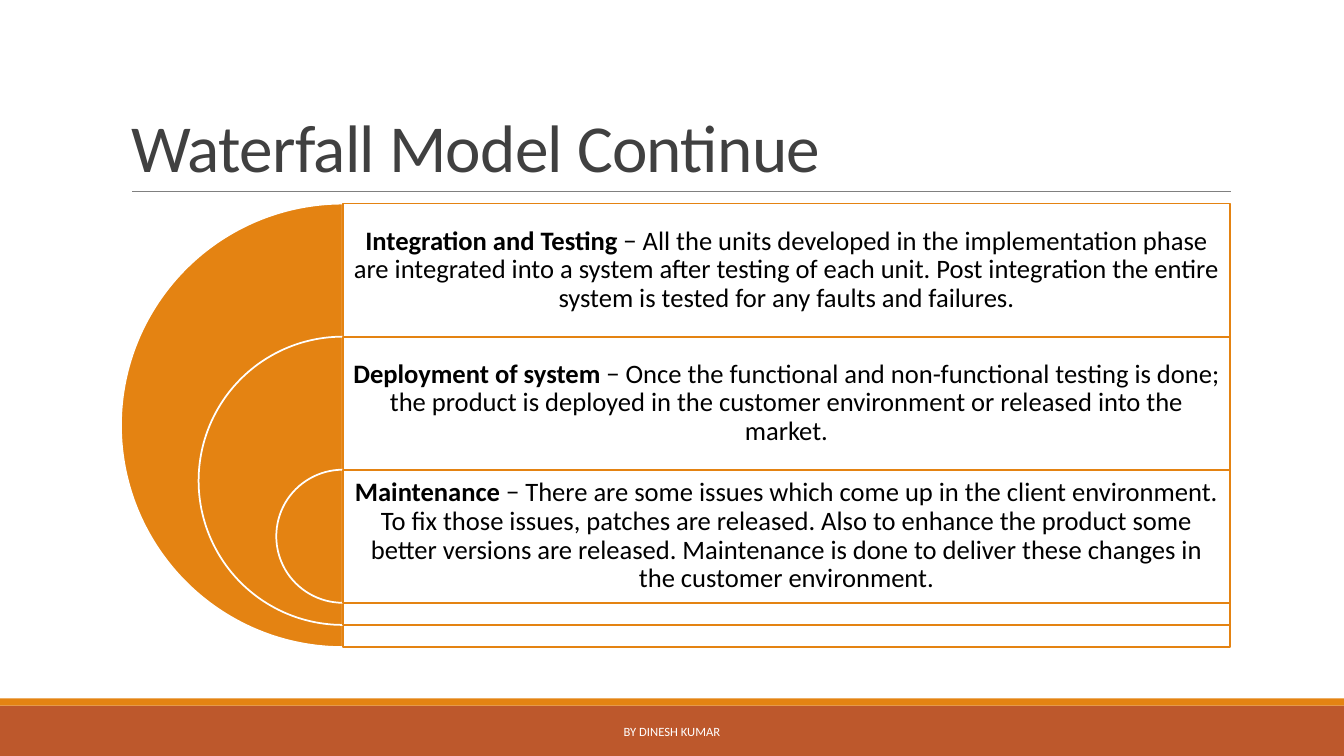
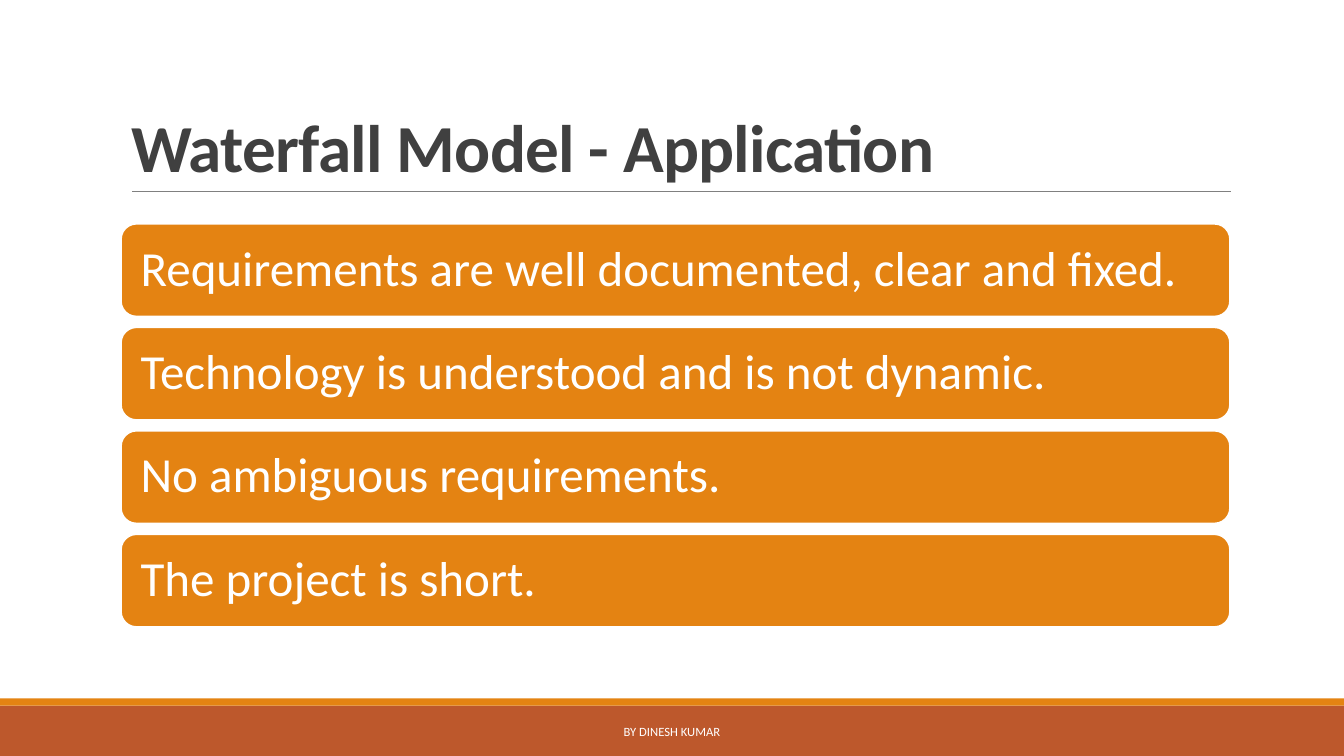
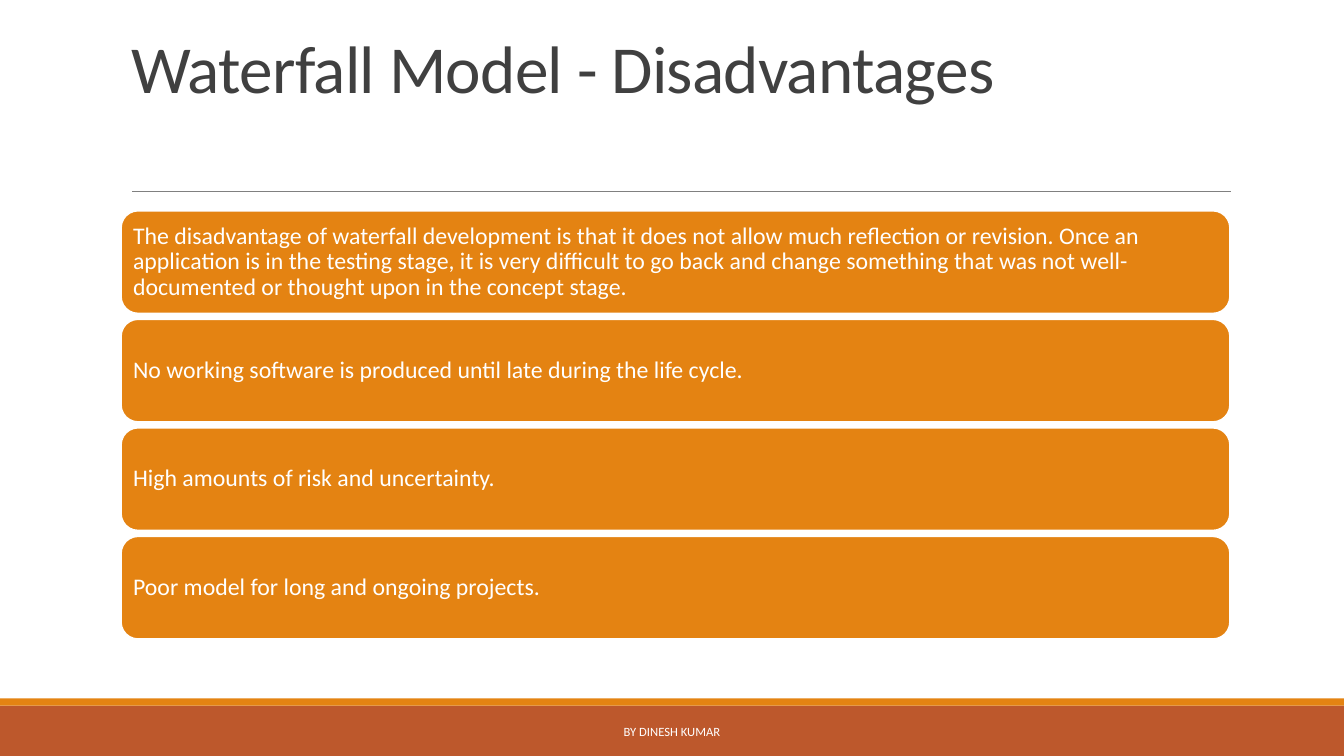
from lxml import etree
from pptx import Presentation
from pptx.dml.color import RGBColor
from pptx.enum.shapes import MSO_CONNECTOR, MSO_SHAPE
from pptx.enum.text import MSO_ANCHOR, MSO_AUTO_SIZE, PP_ALIGN
from pptx.oxml.ns import qn
from pptx.util import Inches, Pt

RECT, ROUNDED, PIE = MSO_SHAPE.RECTANGLE, MSO_SHAPE.ROUNDED_RECTANGLE, MSO_SHAPE.PIE
STRAIGHT = MSO_CONNECTOR.STRAIGHT
MIDDLE, BOTTOM = MSO_ANCHOR.MIDDLE, MSO_ANCHOR.BOTTOM
LEFT, CENTER = PP_ALIGN.LEFT, PP_ALIGN.CENTER
NO_AUTOFIT = MSO_AUTO_SIZE.NONE

# Shared style
FONT = "Calibri"
ORANGE, RUST, GRAY = "E48312", "BD582C", "808080"
WHITE, BLACK, CHARCOAL = "FFFFFF", "000000", "404040"
WIDTH, HEIGHT = 13.33, 7.5
TITLE_ONLY = 5
CONTENT_LEFT, CONTENT_WIDTH = 1.2, 11
OUTLINE = 1.25

# Content
PHASES = [
    ("Integration and Testing",
     " − All the units developed in the implementation phase are integrated into a "
     "system after testing of each unit. Post integration the entire system is tested "
     "for any faults and failures."),
    ("Deployment of system",
     " − Once the functional and non-functional testing is done; the product is "
     "deployed in the customer environment or released into the market."),
    ("Maintenance",
     " − There are some issues which come up in the client environment. To fix those "
     "issues, patches are released. Also to enhance the product some better versions "
     "are released. Maintenance is done to deliver these changes in the customer "
     "environment."),
]
APPLICATIONS = [
    "Requirements are well documented, clear and fixed.",
    "Technology is understood and is not dynamic.",
    "No ambiguous requirements.",
    "The project is short.",
]
DISADVANTAGES = [
    "The disadvantage of waterfall development is that it does not allow much "
    "reflection or revision. Once an application is in the testing stage, it is very "
    "difficult to go back and change something that was not well-documented or thought "
    "upon in the concept stage.",
    "No working software is produced until late during the life cycle.",
    "High amounts of risk and uncertainty.",
    "Poor model for long and ongoing projects.",
]


def rgb(value):
    return RGBColor.from_string(value)


def box(*lengths):
    return [Inches(length) for length in lengths]


def add_block(slide, preset, at, fill, line=None):
    block = slide.shapes.add_shape(preset, *box(*at))
    block.shadow.inherit = False
    block.fill.solid()
    block.fill.fore_color.rgb = rgb(fill)
    if line:
        block.line.color.rgb = rgb(line)
        block.line.width = Pt(OUTLINE)
    else:
        block.line.fill.background()
    return block


def set_opacity(block, percent):
    color = block.element.spPr.find(qn("a:solidFill"))[0]
    etree.SubElement(color, qn("a:alpha")).set("val", str(percent * 1000))


def set_text(shape, runs, size, color, align=LEFT, anchor=MIDDLE, spacing=1.0,
             insets=(0.1, 0.05, 0.1, 0.05)):
    """Write (text, bold) runs as one paragraph; insets are left, top, right, bottom."""
    frame = shape.text_frame
    frame.auto_size = NO_AUTOFIT
    frame.word_wrap = True
    frame.vertical_anchor = anchor
    for side, inset in zip(("left", "top", "right", "bottom"), insets):
        setattr(frame, f"margin_{side}", Inches(inset))
    paragraph = frame.paragraphs[0]
    paragraph.alignment = align
    paragraph.line_spacing = spacing
    for text, bold in runs:
        run = paragraph.add_run()
        run.text = text
        for name, value in {"name": FONT, "size": Pt(size), "bold": bold}.items():
            setattr(run.font, name, value)
        run.font.color.rgb = rgb(color)
    return paragraph


def build_frame(layout, slide):
    """Draw the bands and title rule, then move them to the shared layout."""
    for placeholder in list(layout.placeholders):
        if placeholder.placeholder_format.idx:
            placeholder.element.getparent().remove(placeholder.element)
    rule = slide.shapes.add_connector(STRAIGHT, *box(1.31, 1.9, 12.21, 1.9))
    rule.line.color.rgb = rgb(GRAY)
    rule.line.width = Pt(0.5)
    etree.SubElement(rule.element.spPr, qn("a:effectLst"))
    footer_band = add_block(slide, RECT, (0, 7, WIDTH, 0.5), RUST)
    accent_band = add_block(slide, RECT, (0, 6.93, WIDTH, 0.07), ORANGE)
    for part in (footer_band, accent_band, rule):
        layout.shapes.element.append(part.element)


def add_title(slide, text, bold=False, lift=0.0):
    title = slide.shapes.title
    title.left, title.top, title.width, title.height = box(
        CONTENT_LEFT, 0.31, CONTENT_WIDTH, 1.59)
    paragraph = set_text(title, [(text, bold)], 48, CHARCOAL, anchor=BOTTOM,
                         spacing=0.85, insets=(0.1, 0.05, 0.1, 0.05 + lift))
    paragraph.runs[0].font.element.set("spc", "-50") if hasattr(
        paragraph.runs[0].font, "element") else paragraph.runs[0]._r.get_or_add_rPr().set(
        "spc", "-50")


def add_footer(slide):
    footer = slide.shapes.add_textbox(*box(4.03, 7.06, 5.27, 0.4))
    set_text(footer, [("BY DINESH KUMAR", False)], 9, WHITE, CENTER)


def add_nested_phases(slide, phases):
    """Half discs nested to the left of panels that share their height."""
    row, top, center = 1.32, 2.02, 3.4
    inset = 0.08
    for index, (name, description) in enumerate(phases):
        diameter = 4.4 - 1.54 * index
        y = top + row * index
        half_disc = add_block(slide, PIE, (center - diameter / 2, y, diameter, diameter),
                              ORANGE, WHITE)
        half_disc.adjustments[0] = 54
        half_disc.adjustments[1] = 162
        panel = add_block(slide, RECT, (center, y, 8.8, diameter), WHITE, ORANGE)
        set_opacity(panel, 90)
        # The bottom inset keeps the text within its own row
        set_text(panel, [(name, True), (description, False)], 19, BLACK, CENTER,
                 spacing=0.9, insets=(inset, inset, inset, inset + diameter - row))


def add_cards(slide, texts, top, bottom, height, size, inset):
    """Stack equal cards with equal gaps between top and bottom."""
    pitch = (bottom - top - height) / (len(texts) - 1)
    for index, text in enumerate(texts):
        at = (CONTENT_LEFT, top + pitch * index, CONTENT_WIDTH, height)
        card = add_block(slide, ROUNDED, at, ORANGE, WHITE)
        set_text(card, [(text, False)], size, WHITE, spacing=0.9, insets=[inset] * 4)


def main():
    deck = Presentation()
    deck.slide_width, deck.slide_height = box(WIDTH, HEIGHT)
    layout = deck.slide_layouts[TITLE_ONLY]
    phases, application, disadvantages = [
        deck.slides.add_slide(layout) for _ in range(3)]
    build_frame(layout, phases)

    # Phases
    add_title(phases, "Waterfall Model Continue")
    add_nested_phases(phases, PHASES)

    # Application
    add_title(application, "Waterfall Model - Application", bold=True)
    add_cards(application, APPLICATIONS, 2.22, 6.22, 0.92, 35, 0.15)

    # Disadvantages
    add_title(disadvantages, "Waterfall Model - Disadvantages", lift=0.79)
    add_cards(disadvantages, DISADVANTAGES, 2.09, 6.34, 1.02, 17, 0.07)

    for slide in deck.slides:
        add_footer(slide)
    deck.save("out.pptx")


if __name__ == "__main__":
    main()
